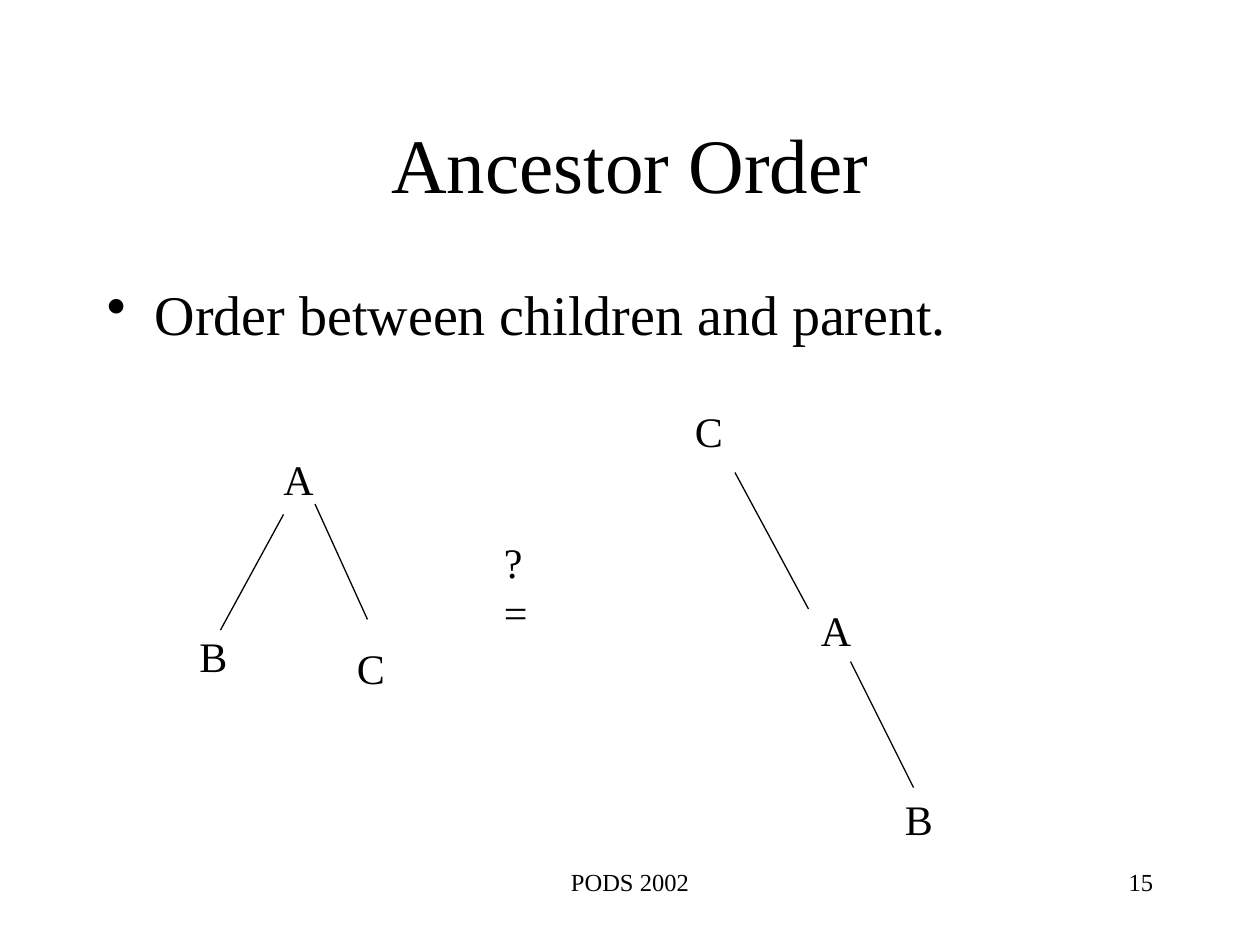
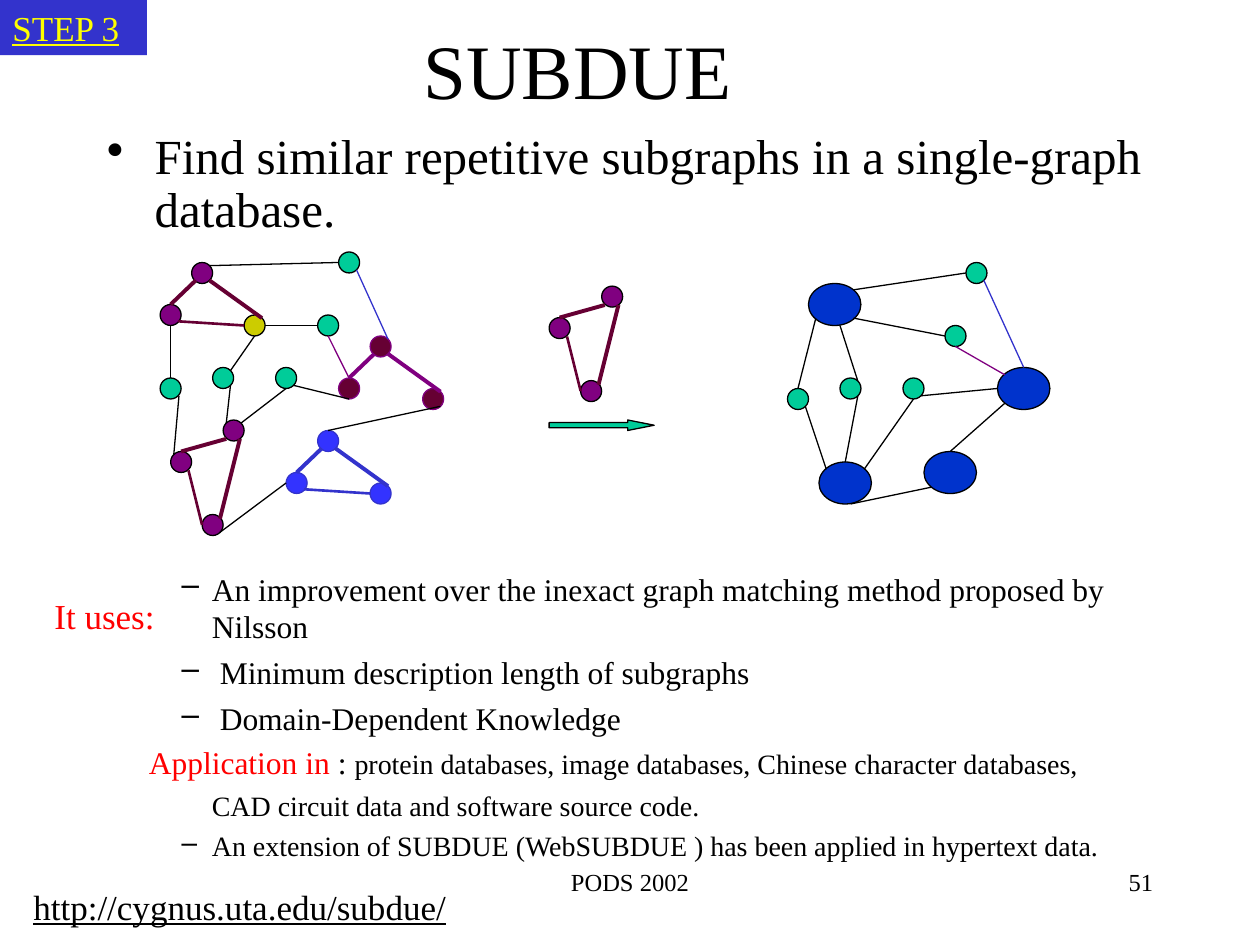
"""Builds two slides on tree order and subgraph discovery."""
from lxml import etree
from pptx import Presentation, util as u
from pptx.dml.color import RGBColor
from pptx.enum import shapes, text
from pptx.oxml.ns import qn

FONT = "Times New Roman"
BLACK = RGBColor(0x00, 0x00, 0x00)
RED = RGBColor(0xFF, 0x00, 0x00)
YELLOW = RGBColor(0xFF, 0xFF, 0x00)
OLIVE = RGBColor(0xCC, 0xCC, 0x00)
TEAL = RGBColor(0x00, 0xCC, 0x99)
PURPLE = RGBColor(0x80, 0x00, 0x80)
MAROON = RGBColor(0x66, 0x00, 0x33)
INDIGO = RGBColor(0x33, 0x33, 0xCC)
BLUE = RGBColor(0x33, 0x33, 0xFF)
NAVY = RGBColor(0x00, 0x33, 0xCC)

COLUMNS, ROWS = 120, 90
NODE = (2, 2)
CLUSTER = (5, 4)
WIDE = dict(nodes=[(0, 4), (3, 0), (8, 5)],
            edges=[(3.4, 1.7, 1, 4, 2.25), (4.7, 1.7, 9.7, 5.3, 2.25),
                   (1.7, 5.6, 8, 6, 1.5)])
TALL = dict(nodes=[(0, 3), (5, 0), (3, 9)],
            edges=[(5.3, 1.8, 1, 3, 2.25), (6.6, 1.8, 4.7, 9.4, 2.25),
                   (1.7, 4.8, 3, 10, 1.5)])
SINGLE_NODES = [(0, 12), (5, 11), (17, 0), (15, 6), (11, 11)]


def write(p, content, size=24, color=BLACK, underline=None, align=None,
          before=0, spacing=None, bullet=None, margin=0, indent=0):
    """Fill a paragraph with a string or with (string, size, colour) runs."""
    pPr = p._p.get_or_add_pPr()
    pPr.set("marL", str(u.Inches(margin)))
    pPr.set("indent", str(u.Inches(indent)))
    if bullet:
        etree.SubElement(pPr, qn("a:buChar")).set("char", bullet)
    else:
        etree.SubElement(pPr, qn("a:buNone"))
    p.alignment = align
    p.space_before = u.Pt(before)
    if spacing:
        p.line_spacing = spacing
    runs = [(content, size, color)] if isinstance(content, str) else content
    for words, points, tint in runs:
        r = p.add_run()
        r.text = words
        r.font.name = FONT
        r.font.size = u.Pt(points)
        r.font.color.rgb = tint
        r.font.underline = underline


class Deck:
    """Holds the grid, the shared style and the current slide."""

    def __init__(self):
        """Start a presentation and measure its grid."""
        self.prs = Presentation()
        self.prs.slide_width, self.prs.slide_height = u.Inches(10), u.Inches(7.5)
        self.column = self.prs.slide_width / COLUMNS
        self.row = self.prs.slide_height / ROWS
        self.s = None

    def place(self, x, y, w, h):
        """Turn grid columns and rows into slide lengths."""
        return (round(x * self.column), round(y * self.row),
                round(w * self.column), round(h * self.row))

    def slide(self, title, title_box, number):
        """Add a slide with its title, footer and number."""
        self.s = self.prs.slides.add_slide(self.prs.slide_layouts[5])
        sp = self.s.shapes.title
        sp.left, sp.top, sp.width, sp.height = self.place(*title_box)
        sp.text_frame.vertical_anchor = text.MSO_ANCHOR.MIDDLE
        write(sp.text_frame.paragraphs[0], title, size=44, align=text.PP_ALIGN.CENTER)
        self.text((41, 82, 38, 6), "PODS 2002", size=14, align=text.PP_ALIGN.CENTER)
        self.text((86, 82, 25, 6), str(number), size=14, align=text.PP_ALIGN.RIGHT)

    def text(self, box, *contents, wrap=True, **style):
        """Add a text box whose paragraphs share one style."""
        return self.paragraphs(box, [(c, style) for c in contents], wrap)

    def paragraphs(self, box, items, wrap=True):
        """Add a text box from (content, style) pairs."""
        sp = self.s.shapes.add_textbox(*self.place(*box))
        tf = sp.text_frame
        tf.word_wrap = wrap
        for i, (content, style) in enumerate(items):
            write(tf.add_paragraph() if i else tf.paragraphs[0], content, **style)
        return sp

    def shape(self, kind, box, fill, line=BLACK):
        """Add a filled preset shape with a thin outline."""
        sp = self.s.shapes.add_shape(kind, *self.place(*box))
        sp.shadow.inherit = False
        sp.fill.solid()
        sp.fill.fore_color.rgb = fill
        sp.line.color.rgb = line
        sp.line.width = u.Pt(0.75)
        return sp

    def line(self, x1, y1, x2, y2, width=0.75, color=BLACK, origin=(0, 0)):
        """Draw a straight line between two grid points."""
        dx, dy = origin
        start, end = self.place(x1 + dx, y1 + dy, x2 + dx, y2 + dy)[:2], \
            self.place(x2 + dx, y2 + dy, 0, 0)[:2]
        sp = self.s.shapes.add_connector(shapes.MSO_CONNECTOR.STRAIGHT, *start, *end)
        sp.line.color.rgb = color
        sp.line.width = u.Pt(width)
        etree.SubElement(sp._element.spPr, qn("a:effectLst"))

    def nodes(self, origin, spots, fills, size=NODE, outline=BLACK):
        """Draw one ellipse at each spot, measured from the origin."""
        for (x, y), fill in zip(spots, fills):
            self.shape(shapes.MSO_SHAPE.OVAL, (origin[0] + x, origin[1] + y, *size),
                       fill, outline)

    def triangle(self, origin, motif, fills, stroke, outline=BLACK, sides=3):
        """Draw a three-node subgraph."""
        self.nodes(origin, motif["nodes"], fills, outline=outline)
        for edge in motif["edges"][:sides]:
            self.line(*edge, color=stroke, origin=origin)

    def links(self, origin, edges, color=BLACK):
        """Draw thin graph edges measured from the origin."""
        for edge in edges:
            self.line(*edge, color=color, origin=origin)


def ancestor_order(deck):
    """Build the slide that compares two trees."""
    deck.slide("Ancestor Order", (9, 8, 102, 15), 15)
    deck.text((9, 26, 102, 54), "Order between children and parent.",
              size=32, bullet="•", margin=0.38, indent=-0.38)
    for letter, x, y in [("A", 25.8, 42.6), ("B", 17.8, 59.5), ("C", 32.8, 60.6),
                         ("C", 65, 38), ("A", 77, 57), ("B", 85, 75)]:
        deck.text((x, y, 5.2, 6), letter, wrap=False)
    deck.text((46.8, 50.5, 4.7, 10.8), "?", "=", wrap=False)
    deck.links((0, 0), [(27, 49, 21, 60), (30, 48, 35, 59),
                        (70, 45, 77, 58), (81, 63, 87, 75)])


def input_graph(deck, origin):
    """Draw the graph that holds the repeated subgraphs."""
    x, y = origin
    deck.nodes(origin, SINGLE_NODES, [TEAL] * 5)
    deck.triangle((x + 1, y + 16), TALL, [PURPLE] * 3, MAROON)
    deck.triangle((x + 17, y + 8), WIDE, [MAROON] * 3, PURPLE, PURPLE, sides=2)
    deck.triangle((x + 12, y + 17), WIDE, [BLUE] * 3, INDIGO, INDIGO)
    deck.triangle((x, y + 1), WIDE, [PURPLE, PURPLE, OLIVE], MAROON)
    deck.links(origin, [
        (1, 7, 1, 12), (1.8, 13.7, 1.3, 19.3), (6.7, 12.7, 6.3, 16.3),
        (9, 8, 6.7, 11.3), (17, 1, 4.7, 1.3), (15, 7, 10, 7),
        (16, 17, 26.7, 14.7), (12.7, 12.7, 18, 14), (12, 22, 5.7, 26.7),
        (7.7, 16.3, 12, 13)])
    deck.links(origin, [(18, 12, 16, 8)], PURPLE)
    deck.links(origin, [(21.7, 8.3, 18.7, 1.7)], INDIGO)


def compressed_graph(deck, origin):
    """Draw the graph with each subgraph replaced by a cluster."""
    deck.nodes(origin, [(2, 2), (20, 10), (3, 19), (13, 18)], [NAVY] * 4, CLUSTER)
    deck.nodes(origin, SINGLE_NODES, [TEAL] * 5)
    deck.links(origin, [
        (2.7, 5.3, 1, 12), (1.7, 13.7, 3.7, 19.7), (6.7, 12.7, 5.5, 19),
        (5, 6, 6.7, 11.3), (17, 1, 6.3, 2.6), (15, 7, 6.3, 5.3),
        (15.5, 18, 20.7, 13.4), (12.7, 12.7, 20, 12), (13.7, 21.4, 6, 23),
        (7.3, 19.7, 12, 13)])
    deck.links(origin, [(20.7, 10.7, 16, 8)], PURPLE)
    deck.links(origin, [(22.5, 10, 18.7, 1.7)], INDIGO)


def subdue(deck):
    """Build the slide on repetitive subgraphs."""
    deck.slide("SUBDUE", (4, -1, 102, 15), 51)
    deck.text((9, 12, 103, 12),
              "Find similar repetitive subgraphs in a single-graph database.",
              size=28, spacing=0.9, bullet="•", margin=0.38, indent=-0.38)
    step = deck.shape(shapes.MSO_SHAPE.RECTANGLE, (0, 0, 14, 5.25), INDIGO)
    step.line.fill.background()
    step.text_frame.vertical_anchor = text.MSO_ANCHOR.TOP
    write(step.text_frame.paragraphs[0], "STEP 3", size=20, color=YELLOW,
          underline=True, align=text.PP_ALIGN.LEFT)

    input_graph(deck, (15.25, 24))
    arrow = deck.shape(shapes.MSO_SHAPE.RIGHT_ARROW, (52.3, 40, 10, 1), TEAL)
    arrow.adjustments[0], arrow.adjustments[1] = 0.5, 2.51
    compressed_graph(deck, (75, 25))
    deck.triangle((52.3, 27.25), TALL, [PURPLE] * 3, MAROON)

    dash = dict(size=18, before=4.5, bullet="–", margin=0.5, indent=-0.24)
    small = dict(size=16, before=4, margin=0.5)
    deck.paragraphs((13, 53.65, 94, 32.3), [
        ("An improvement over the inexact graph matching method proposed by Nilsson",
         dash | dict(before=0)),
        (" Minimum description length of subgraphs", dash),
        (" Domain-Dependent Knowledge", dash),
        ([("Application in", 18, RED), (" : ", 18, BLACK),
          ("protein databases, image databases, Chinese character databases,",
           16, BLACK)], dict(before=4)),
        ("CAD circuit data and software source code.", small),
        ("An extension of SUBDUE (WebSUBDUE ) has been applied in hypertext data.",
         dash | small)])
    deck.text((4, 56, 15, 5.25), "It uses:", size=20, color=RED)
    deck.text((2, 83.75, 89, 5.25), "http://cygnus.uta.edu/subdue/",
              size=20, underline=True)


def main():
    """Build both slides and save them."""
    deck = Deck()
    ancestor_order(deck)
    subdue(deck)
    deck.prs.save("out.pptx")


if __name__ == "__main__":
    main()
